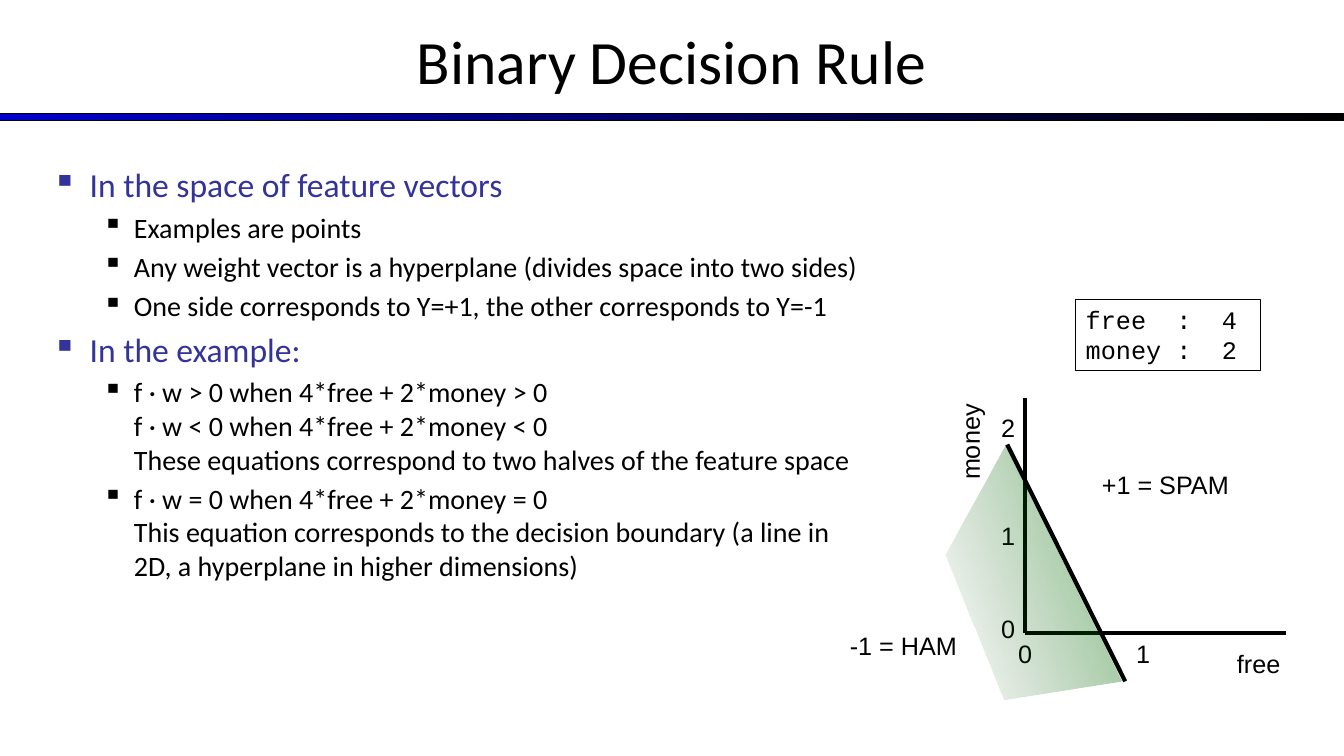
from dataclasses import dataclass

import lxml.etree
import pptx
import pptx.dml.color
import pptx.enum.shapes
import pptx.enum.text
import pptx.oxml.ns
import pptx.util

Inches = pptx.util.Inches
Pt = pptx.util.Pt
qn = pptx.oxml.ns.qn
BLACK = "000000"
INDIGO = "333399"


@dataclass
class BulletLevel:
    size: float
    color: str
    margin: float
    hanging: float


@dataclass
class Bullet:
    level: int
    lines: list[str]


@dataclass
class Label:
    text: str
    left: float
    top: float
    width: float = 0.42
    rotation: float = 0


@dataclass
class Line:
    start: tuple[float, float]
    end: tuple[float, float]


LEVELS = [BulletLevel(24, INDIGO, 0.37, 0.37), BulletLevel(20, BLACK, 0.81, 0.31)]
BULLETS = [
    Bullet(0, ["In the space of feature vectors"]),
    Bullet(1, ["Examples are points"]),
    Bullet(1, ["Any weight vector is a hyperplane (divides space into two sides)"]),
    Bullet(1, ["One side corresponds to Y=+1, the other corresponds to Y=-1"]),
    Bullet(0, ["In the example:"]),
    Bullet(1, ["f · w > 0 when 4*free + 2*money > 0",
               "f · w < 0 when 4*free + 2*money < 0",
               "These equations correspond to two halves of the feature space"]),
    Bullet(1, ["f · w = 0 when 4*free + 2*money = 0",
               "This equation corresponds to the decision boundary "
               "(a line in 2D, a hyperplane in higher dimensions)"]),
]
ORIGIN = (10.17, 6.28)
AXES = [Line(ORIGIN, (12.75, 6.28)), Line(ORIGIN, (10.17, 3.95))]
DECISION_BOUNDARY = Line((9.99, 4.41), (11.16, 6.76))
HAM_REGION = [(10.43, 4.45), (10.72, 7.04), (9.56, 6.82), (9.5, 5.27)]
HAM_ROTATION = 340.2
TICKS = [
    Label("0", 10, 6.28), Label("1", 11.17, 6.28),
    Label("0", 9.83, 6.04), Label("1", 9.83, 5.11), Label("2", 9.83, 4.04),
]
NAMES = [
    Label("free", 12.17, 6.38, 0.68),
    Label("money", 9.1, 4.14, 1.04, 270),
    Label("+1 = SPAM", 10.83, 4.61, 1.5),
    Label("-1 = HAM", 8.33, 6.2, 1.5),
]


def rgb(color: str) -> pptx.dml.color.RGBColor:
    return pptx.dml.color.RGBColor.from_string(color)


def add_run(paragraph, text: str, size: float, font: str, color: str = BLACK) -> None:
    run = paragraph.add_run()
    run.text = text
    run.font.size = Pt(size)
    run.font.name = font
    run.font.color.rgb = rgb(color)


def fill_gradient(shape, colors: list[str]) -> None:
    """Fill from left to right with two colours."""
    shape.fill.gradient()
    shape.fill.gradient_angle = 0
    for stop, position, color in zip(shape.fill.gradient_stops, (0, 1), colors):
        stop.position = position
        stop.color.rgb = rgb(color)


def add_title(slide) -> None:
    title = slide.shapes.title
    title.left, title.top = Inches(0), Inches(-0.03)
    title.width, title.height = Inches(13.33), Inches(1.25)
    title.text_frame.vertical_anchor = pptx.enum.text.MSO_ANCHOR.MIDDLE
    paragraph = title.text_frame.paragraphs[0]
    paragraph.alignment = pptx.enum.text.PP_ALIGN.CENTER
    add_run(paragraph, "Binary Decision Rule", 44, "Calibri")


def add_rectangle(slide, left: float, top: float, width: float, height: float):
    shape = slide.shapes.add_shape(
        pptx.enum.shapes.MSO_SHAPE.RECTANGLE,
        Inches(left), Inches(top), Inches(width), Inches(height))
    shape.shadow.inherit = False
    shape.line.color.rgb = rgb(BLACK)
    shape.line.width = Pt(0.75)
    return shape


def add_bullets(slide) -> None:
    box = slide.shapes.add_textbox(Inches(0.42), Inches(1.58), Inches(8.25), Inches(5.31))
    frame = box.text_frame
    frame.word_wrap = True
    for index, bullet in enumerate(BULLETS):
        level = LEVELS[bullet.level]
        paragraph = frame.add_paragraph() if index else frame.paragraphs[0]
        paragraph.level = bullet.level
        if index:
            paragraph.space_before = Pt(level.size * 0.2)
        properties = paragraph._p.get_or_add_pPr()
        properties.set("marL", str(Inches(level.margin)))
        properties.set("indent", str(-Inches(level.hanging)))
        bullet_color = lxml.etree.SubElement(properties, qn("a:buClr"))
        lxml.etree.SubElement(bullet_color, qn("a:srgbClr"), val=level.color)
        lxml.etree.SubElement(properties, qn("a:buChar"), char="▪")
        for number, line in enumerate(bullet.lines):
            if number:
                paragraph.add_line_break()
            add_run(paragraph, line, level.size, "Calibri", level.color)


def add_weights(slide) -> None:
    box = add_rectangle(slide, 10.67, 2.97, 1.83, 0.71)
    box.fill.background()
    frame = box.text_frame
    frame.word_wrap = True
    frame.vertical_anchor = pptx.enum.text.MSO_ANCHOR.TOP
    for index, weight in enumerate(["free  :  4", "money :  2"]):
        paragraph = frame.add_paragraph() if index else frame.paragraphs[0]
        paragraph.alignment = pptx.enum.text.PP_ALIGN.LEFT
        add_run(paragraph, weight, 18, "Courier New")


def add_line(slide, line: Line) -> None:
    connector = slide.shapes.add_connector(
        pptx.enum.shapes.MSO_CONNECTOR.STRAIGHT,
        *map(Inches, line.start), *map(Inches, line.end))
    connector.line.color.rgb = rgb(BLACK)
    connector.line.width = Pt(3)
    lxml.etree.SubElement(connector._element.spPr, qn("a:effectLst"))


def add_label(slide, label: Label) -> None:
    box = slide.shapes.add_textbox(
        Inches(label.left), Inches(label.top), Inches(label.width), Inches(0.4))
    box.rotation = label.rotation
    box.text_frame.word_wrap = True
    add_run(box.text_frame.paragraphs[0], label.text, 18, "Arial")


def add_ham_region(slide) -> None:
    points = [(Inches(x), Inches(y)) for x, y in HAM_REGION]
    builder = slide.shapes.build_freeform(*points[0])
    builder.add_line_segments(points[1:], close=True)
    region = builder.convert_to_shape()
    region.rotation = HAM_ROTATION
    region.shadow.inherit = False
    region.line.fill.background()
    fill_gradient(region, ["003B00", "008000"])
    colors = region._element.spPr.iter(qn("a:srgbClr"))
    for color, opacity in zip(colors, (0, 50000)):
        lxml.etree.SubElement(color, qn("a:alpha"), val=str(opacity))


def main() -> None:
    presentation = pptx.Presentation()
    presentation.slide_width = Inches(13.33)
    presentation.slide_height = Inches(7.5)
    slide = presentation.slides.add_slide(presentation.slide_layouts[5])
    fill_gradient(add_rectangle(slide, 0, 1.13, 13.33, 0.07), ["0000CC", BLACK])
    add_title(slide)
    add_bullets(slide)
    add_weights(slide)
    for axis in AXES:
        add_line(slide, axis)
    for tick in TICKS:
        add_label(slide, tick)
    add_ham_region(slide)
    add_line(slide, DECISION_BOUNDARY)
    for name in NAMES:
        add_label(slide, name)
    presentation.save("out.pptx")


if __name__ == "__main__":
    main()
